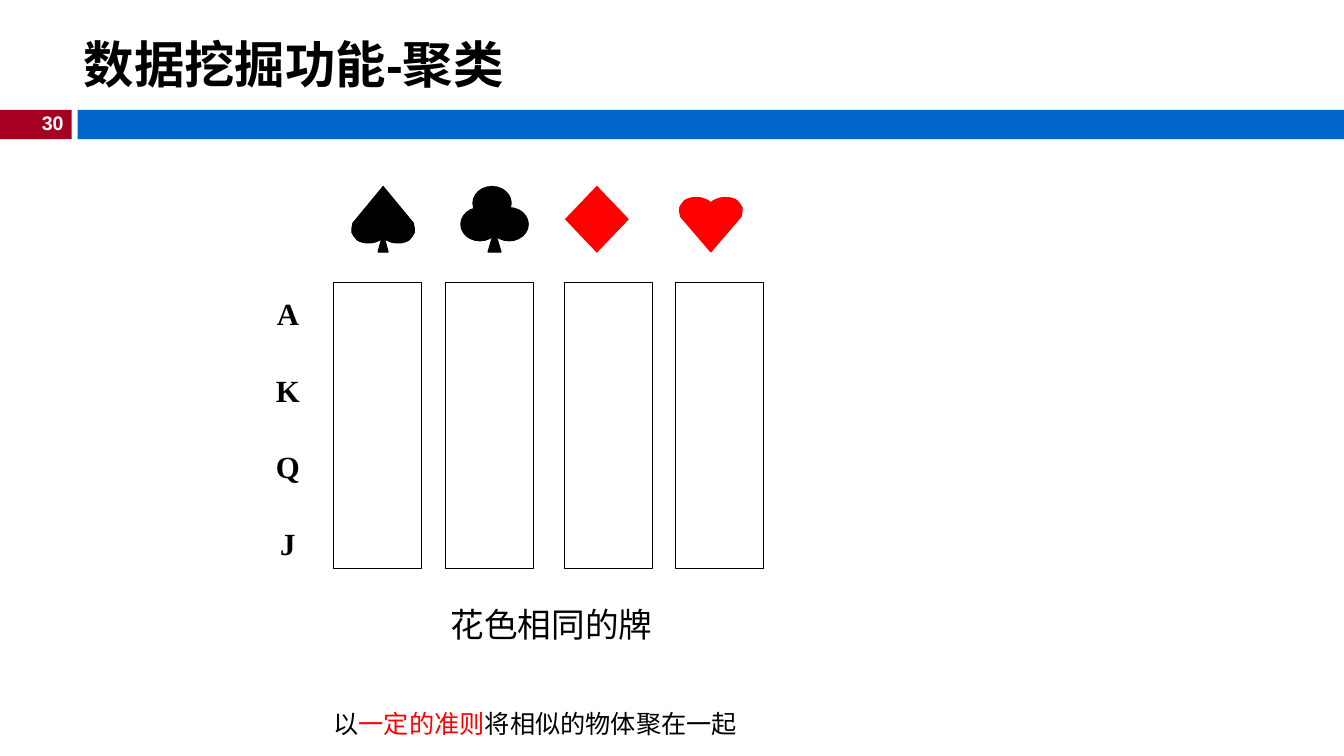
from lxml.etree import SubElement
from pptx import Presentation
from pptx.dml.color import RGBColor
from pptx.enum.shapes import MSO_SHAPE
from pptx.enum.text import MSO_ANCHOR, PP_ALIGN
from pptx.oxml.ns import qn
from pptx.util import Inches, Pt

TITLE = "数据挖掘功能-聚类"
PAGE_NUMBER = "30"
RANKS = ["A", "K", "Q", "J"]
SUIT_COLUMNS = [3.31, 4.42, 5.6, 6.7]
CAPTION = "花色相同的牌"
SUMMARY = [("以", "000000"), ("一定的准则", "FF0000"), ("将相似的物体聚在一起", "000000")]
BANDS = [(0, 0.71, "A50021"), (0.77, 12.56, "0066CC")]
CLUB_PARTS = [
    (MSO_SHAPE.OVAL, 4.69, 1.85, 0.38, 0.33),
    (MSO_SHAPE.OVAL, 4.86, 2.06, 0.38, 0.33),
    (MSO_SHAPE.OVAL, 4.57, 2.06, 0.38, 0.33),
    (MSO_SHAPE.FLOWCHART_EXTRACT, 4.84, 2.28, 0.13, 0.22),
]
HEART_WIDTH = 0.62
HEART_TIP = (0.31, 0.54)
HEART_LEFT_HALF = [
    (0.31, 0.05),
    (0.3, 0.04), (0.27, 0.02), (0.26, 0.02),
    (0.22, 0), (0.19, 0), (0.15, 0),
    (0.12, 0), (0.08, 0.01), (0.05, 0.03),
    (0.03, 0.05), (0.01, 0.08), (0, 0.1),
    (0, 0.13), (0, 0.16), (0.01, 0.19),
]


def color(value):
    return RGBColor.from_string(value)


def paint(shape, fill, line=None):
    shape.shadow.inherit = False
    shape.fill.solid()
    shape.fill.fore_color.rgb = color(fill)
    if line:
        shape.line.color.rgb = color(line)
        shape.line.width = Pt(0.75)
    else:
        shape.line.fill.background()


def add_block(slide, kind, left, top, width, height, fill, line=None):
    shape = slide.shapes.add_shape(kind, Inches(left), Inches(top), Inches(width), Inches(height))
    paint(shape, fill, line)


def write(frame, runs, size, font, bold=False, align=PP_ALIGN.LEFT):
    paragraph = frame.paragraphs[0]
    paragraph.alignment = align
    for text, value in runs:
        run = paragraph.add_run()
        run.text = text
        run.font.size = Pt(size)
        run.font.name = font
        run.font.bold = bold
        run.font.color.rgb = color(value)


def add_text(slide, left, top, width, height, runs, size, font="Times New Roman",
             bold=False, align=PP_ALIGN.LEFT, anchor=MSO_ANCHOR.TOP, wrap=True):
    box = slide.shapes.add_textbox(Inches(left), Inches(top), Inches(width), Inches(height))
    box.text_frame.word_wrap = wrap
    box.text_frame.vertical_anchor = anchor
    write(box.text_frame, runs, size, font, bold, align)


def add_segment(outline, kind, points):
    segment = SubElement(outline, qn(kind))
    for x, y in points:
        SubElement(segment, qn("a:pt"), x=str(Inches(x)), y=str(Inches(y)))


def add_heart(slide, left, top, height, fill, rotation=0):
    left_half = HEART_LEFT_HALF
    right_half = [(HEART_WIDTH - x, y) for x, y in reversed(left_half)]
    corners = [(Inches(left + x), Inches(top + y))
               for x, y in left_half[::3] + [HEART_TIP] + right_half[::3]]
    builder = slide.shapes.build_freeform(*corners[0])
    builder.add_line_segments(corners[1:], close=True)
    shape = builder.convert_to_shape()

    outline = next(shape.element.iter(qn("a:path")))
    for segment in list(outline):
        outline.remove(segment)
    add_segment(outline, "a:moveTo", left_half[:1])
    for start in range(1, len(left_half), 3):
        add_segment(outline, "a:cubicBezTo", left_half[start:start + 3])
    add_segment(outline, "a:lnTo", [HEART_TIP])
    add_segment(outline, "a:lnTo", right_half[:1])
    for start in range(1, len(right_half), 3):
        add_segment(outline, "a:cubicBezTo", right_half[start:start + 3])
    add_segment(outline, "a:close", [])

    shape.height = Inches(height)
    shape.rotation = rotation
    paint(shape, fill, fill)


def main():
    presentation = Presentation()
    presentation.slide_width = Inches(13.33)
    presentation.slide_height = Inches(7.5)
    slide = presentation.slides.add_slide(presentation.slide_layouts[5])

    title = slide.shapes.title
    title.left, title.top, title.width, title.height = map(Inches, (0.73, 0.26, 12.6, 0.74))
    title.text_frame.vertical_anchor = MSO_ANCHOR.MIDDLE
    write(title.text_frame, [(TITLE, "000000")], 36, "Arial", bold=True)

    for left, width, fill in BANDS:
        add_block(slide, MSO_SHAPE.RECTANGLE, left, 1.09, width, 0.29, fill)
    add_text(slide, 0.29, 1.05, 0.44, 0.34, [(PAGE_NUMBER, "FFFFFF")], 14, "Arial",
             bold=True, align=PP_ALIGN.RIGHT, wrap=False)

    add_heart(slide, 6.74, 1.96, 0.54, "FF0000")
    for part in CLUB_PARTS:
        add_block(slide, *part, "000000", "000000")
    add_block(slide, MSO_SHAPE.FLOWCHART_DECISION, 5.61, 1.85, 0.62, 0.65, "FF0000", "FF0000")
    add_heart(slide, 3.49, 1.85, 0.56, "000000", rotation=180)
    add_block(slide, MSO_SHAPE.FLOWCHART_EXTRACT, 3.75, 2.31, 0.1, 0.19, "000000", "000000")

    for row, rank in enumerate(RANKS):
        add_text(slide, 2.48, 2.84 + row * 0.76, 0.75, 0.54, [(rank, "000000")], 22,
                 bold=True, align=PP_ALIGN.CENTER, anchor=MSO_ANCHOR.MIDDLE)
    for left in SUIT_COLUMNS:
        add_block(slide, MSO_SHAPE.RECTANGLE, left, 2.8, 0.87, 2.84, "FFFFFF", "000000")

    add_text(slide, 3.76, 5.94, 3.42, 0.51, [(CAPTION, "000000")], 24, align=PP_ALIGN.CENTER)
    add_text(slide, 3.21, 6.98, 4.68, 0.4, SUMMARY, 18)
    presentation.save("out.pptx")


if __name__ == "__main__":
    main()
